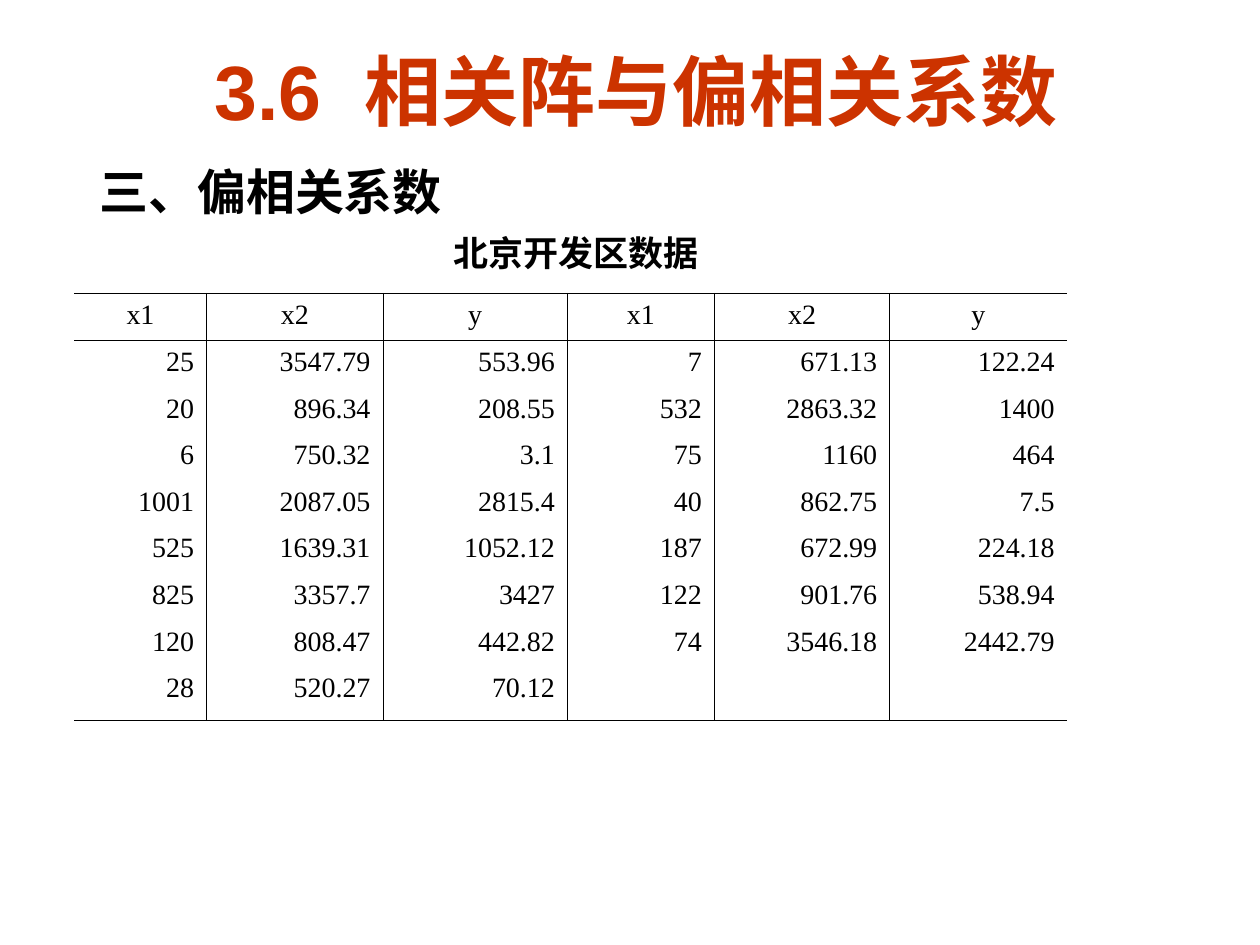
from dataclasses import dataclass

from lxml.etree import SubElement
from pptx import Presentation
from pptx.dml.color import RGBColor
from pptx.enum.text import MSO_ANCHOR, PP_ALIGN
from pptx.oxml.ns import qn
from pptx.util import Pt


@dataclass(frozen=True)
class Theme:
    """Colours, fonts, type sizes and rule widths."""
    ink: str = "000000"
    red: str = "CC3300"
    sans: str = "Arial"
    serif: str = "Times New Roman"
    title: int = 44
    head: int = 28
    label: int = 20
    body: int = 16
    thin: float = 0.45
    thick: float = 0.96


LOOK = Theme()
NAMES = ("x1", "x2", "y") * 2
LEFT = (
    ("25", "3547.79", "553.96"),
    ("20", "896.34", "208.55"),
    ("6", "750.32", "3.1"),
    ("1001", "2087.05", "2815.4"),
    ("525", "1639.31", "1052.12"),
    ("825", "3357.7", "3427"),
    ("120", "808.47", "442.82"),
    ("28", "520.27", "70.12"),
)
RIGHT = (
    ("7", "671.13", "122.24"),
    ("532", "2863.32", "1400"),
    ("75", "1160", "464"),
    ("40", "862.75", "7.5"),
    ("187", "672.99", "224.18"),
    ("122", "901.76", "538.94"),
    ("74", "3546.18", "2442.79"),
    ("", "", ""),
)
WIDTHS = (75.6, 100.8, 105.4, 84, 100.2, 101.4)


def style(para, face, size, color, bold=False):
    """Set the font of a whole paragraph."""
    font = para.font
    font.name, font.size, font.bold = face, Pt(size), bold
    font.color.rgb = RGBColor.from_string(color)


def add_line(slide, box, text, face, size, color=LOOK.ink, align=PP_ALIGN.LEFT, wrap=False):
    """Place one bold line of text in a box."""
    frame = slide.shapes.add_textbox(*map(Pt, box)).text_frame
    frame.word_wrap = wrap
    frame.vertical_anchor = MSO_ANCHOR.MIDDLE
    para = frame.paragraphs[0]
    para.text, para.alignment = text, align
    style(para, face, size, color, True)


def add_edge(cell, side, width):
    """Draw one border of a cell, or clear it when the width is zero."""
    line = SubElement(cell._tc.get_or_add_tcPr(), qn(f"a:ln{side}"), w=str(Pt(width)))
    if width:
        fill = SubElement(line, qn("a:solidFill"))
        SubElement(fill, qn("a:srgbClr"), val=LOOK.ink)
    else:
        SubElement(line, qn("a:noFill"))


def add_data(slide, box):
    """Place the ruled data table in a box."""
    rows = [NAMES] + [a + b for a, b in zip(LEFT, RIGHT)]
    count, span = len(rows), len(NAMES)
    table = slide.shapes.add_table(count, span, *map(Pt, box)).table
    table.first_row = table.horz_banding = False
    for col, width in zip(table.columns, WIDTHS):
        col.width = Pt(width * box[2] / sum(WIDTHS))
    step = 26.64
    for row in table.rows:
        row.height = Pt(step)
    table.rows[count - 1].height = Pt(box[3] - step * (count - 1))
    across = {0: LOOK.thick, 1: LOOK.thin, count: LOOK.thick}
    down = [0] + [LOOK.thin] * (span - 1) + [0]
    down[span // 2] = LOOK.thick
    for i, row in enumerate(rows):
        for j, text in enumerate(row):
            cell = table.cell(i, j)
            add_edge(cell, "L", down[j])
            add_edge(cell, "R", down[j + 1])
            add_edge(cell, "T", across.get(i, 0))
            add_edge(cell, "B", across.get(i + 1, 0))
            cell.fill.background()
            para = cell.text_frame.paragraphs[0]
            para.text = text
            para.alignment = PP_ALIGN.RIGHT if i else PP_ALIGN.CENTER
            style(para, LOOK.serif, LOOK.body, LOOK.ink)


def main():
    """Build and save the slide."""
    deck = Presentation()
    deck.slide_width, deck.slide_height = Pt(720), Pt(540)
    slide = deck.slides.add_slide(deck.slide_layouts[6])
    add_line(slide, (59.8, 20.2, 617.8, 62.6), "3.6  相关阵与偏相关系数 ",
             LOOK.sans, LOOK.title, LOOK.red, PP_ALIGN.CENTER, True)
    add_line(slide, (49.7, 88.6, 213.8, 41), "三、偏相关系数", LOOK.sans, LOOK.head)
    add_line(slide, (252, 128.2, 154.8, 31.7), "北京开发区数据", LOOK.serif, LOOK.label)
    add_data(slide, (42.5, 167.8, 567.4, 244.1))
    deck.save("out.pptx")


if __name__ == "__main__":
    main()
